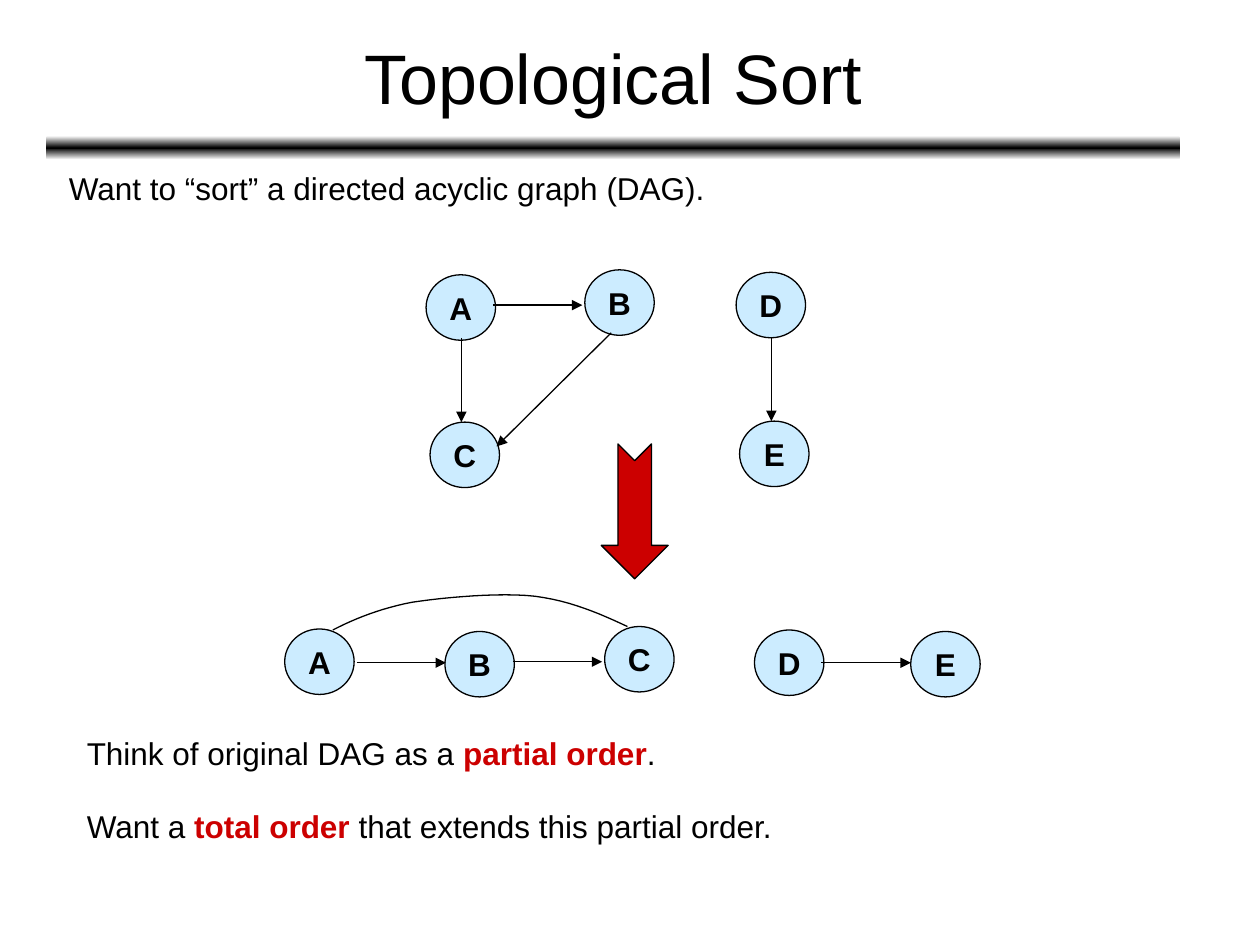
from copy import deepcopy
from dataclasses import dataclass

from lxml import etree
from pptx import Presentation
from pptx.dml.color import RGBColor
from pptx.enum.shapes import MSO_CONNECTOR, MSO_SHAPE
from pptx.enum.text import MSO_ANCHOR, PP_ALIGN
from pptx.oxml.ns import qn
from pptx.util import Cm, Pt

LEFT, CENTER = PP_ALIGN.LEFT, PP_ALIGN.CENTER
TOP, MIDDLE = MSO_ANCHOR.TOP, MSO_ANCHOR.MIDDLE
OVAL, BAR, ARROW = MSO_SHAPE.OVAL, MSO_SHAPE.ROUNDED_RECTANGLE, MSO_SHAPE.NOTCHED_RIGHT_ARROW
STRAIGHT = MSO_CONNECTOR.STRAIGHT


@dataclass(frozen=True)
class Theme:
    font: str = "Arial"
    ink: RGBColor = RGBColor(0, 0, 0)
    paper: RGBColor = RGBColor(255, 255, 255)
    node: RGBColor = RGBColor(0xCC, 0xEC, 0xFF)
    accent: RGBColor = RGBColor(0xCC, 0, 0)
    title: int = 40
    body: int = 18
    line: float = 0.75


THEME = Theme()
NODE_W, NODE_H = 1.4, 1.32


# Shared helpers: all lengths are in centimetres
def add_run(p, text, size=THEME.body, color=THEME.ink, bold=False):
    r = p.add_run()
    r.text = text
    r.font.name, r.font.size, r.font.bold = THEME.font, Pt(size), bold
    r.font.color.rgb = color


def add_text_box(slide, box, anchor=TOP):
    tf = slide.shapes.add_textbox(*map(Cm, box)).text_frame
    tf.word_wrap = True
    tf.vertical_anchor = anchor
    return tf


def add_outlined(slide, kind, box, fill):
    s = slide.shapes.add_shape(kind, *map(Cm, box))
    s.shadow.inherit = False
    s.fill.solid()
    s.fill.fore_color.rgb = fill
    s.line.color.rgb = THEME.ink
    s.line.width = Pt(THEME.line)
    return s


def add_node(slide, label, x, y):
    s = add_outlined(slide, OVAL, (x, y, NODE_W, NODE_H), THEME.node)
    tf = s.text_frame
    tf.word_wrap = False
    tf.vertical_anchor = MIDDLE
    p = tf.paragraphs[0]
    p.alignment = CENTER
    add_run(p, label, bold=True)


def add_edge(slide, x1, y1, x2, y2):
    c = slide.shapes.add_connector(STRAIGHT, Cm(x1), Cm(y1), Cm(x2), Cm(y2))
    c.line.color.rgb = THEME.ink
    c.line.width = Pt(THEME.line)
    etree.SubElement(c.line._get_or_add_ln(), qn("a:tailEnd"), type="triangle")
    etree.SubElement(c.element.spPr, qn("a:effectLst"))


def bezier(p0, p1, p2, p3, steps=12):
    for i in range(1, steps + 1):
        t = i / steps
        u = 1 - t
        yield tuple(u**3 * a + 3 * u * u * t * b + 3 * u * t * t * c + t**3 * d
                    for a, b, c, d in zip(p0, p1, p2, p3))


# Title with the gradient bar under it
def add_header(slide, box, title):
    x, y, w, h = box
    bar = slide.shapes.add_shape(BAR, Cm(x), Cm(y + 2.46), Cm(w), Cm(0.48))
    bar.shadow.inherit = False
    bar.line.fill.background()
    bar.fill.gradient()
    bar.fill.gradient_angle = 90
    gs_list = bar.element.spPr.find(".//" + qn("a:gsLst"))
    gs_list.insert(1, deepcopy(gs_list[0]))
    colors = (THEME.paper, THEME.ink, THEME.paper)
    for i, (stop, color) in enumerate(zip(bar.fill.gradient_stops, colors)):
        stop.position = i / 2
        stop.color.rgb = color

    tf = add_text_box(slide, (x, y, w, h), MIDDLE)
    p = tf.paragraphs[0]
    p.alignment = CENTER
    add_run(p, title, THEME.title)


# Paragraphs given as lists of (text, emphasised) runs
def add_statements(slide, box, paragraphs):
    tf = add_text_box(slide, box)
    for i, runs in enumerate(paragraphs):
        p = tf.add_paragraph() if i else tf.paragraphs[0]
        p.alignment = LEFT
        p.space_before = Pt(20 if i else 0)
        for text, strong in runs:
            add_run(p, text, color=THEME.accent if strong else THEME.ink, bold=strong)


# Nodes and edges, placed from the corner of the graph
def add_graph(slide, corner, nodes, edges):
    x, y = corner
    for label, (dx, dy) in nodes.items():
        add_node(slide, label, x + dx, y + dy)
    for x1, y1, x2, y2 in edges:
        add_edge(slide, x + x1, y + y1, x + x2, y + y2)


# Curved edge through joined Bezier pieces
def add_arc(slide, corner, points):
    x, y = corner
    path = [points[0]]
    for i in range(0, len(points) - 1, 3):
        path += bezier(*points[i:i + 4])
    path = [(Cm(x + dx), Cm(y + dy)) for dx, dy in path]
    fb = slide.shapes.build_freeform(*path[0])
    fb.add_line_segments(path[1:], close=False)
    s = fb.convert_to_shape()
    s.shadow.inherit = False
    s.fill.background()
    s.line.color.rgb = THEME.ink
    s.line.width = Pt(THEME.line)


def add_down_arrow(slide, box):
    x, y, w, h = box
    turned = (x + (w - h) / 2, y + (h - w) / 2, h, w)
    add_outlined(slide, ARROW, turned, THEME.accent).rotation = 90


def main():
    prs = Presentation()
    prs.slide_width, prs.slide_height = Cm(25.4), Cm(19.05)
    slide = prs.slides.add_slide(prs.slide_layouts[6])

    add_header(slide, (0.92, 0.28, 22.88, 2.51), "Topological Sort")
    add_statements(slide, (1.14, 3.28, 16.54, 1.27),
                   [[("Want to “sort” a directed acyclic graph (DAG).", False)]])

    # Partial order
    add_graph(slide, (8.59, 5.44),
              {"A": (0, 0.1), "B": (3.2, 0), "C": (0.08, 3.07),
               "D": (6.25, 0.05), "E": (6.32, 3.05)},
              [(1.35, 0.71, 3.15, 0.71), (0.71, 1.37, 0.71, 3.07),
               (3.73, 1.27, 1.42, 3.56), (6.96, 1.35, 6.96, 3.05)])
    add_down_arrow(slide, (12.12, 8.95, 1.35, 2.72))

    # Total order
    corner = (5.74, 11.94)
    add_graph(slide, corner,
              {"A": (0, 0.74), "B": (3.23, 0.79), "C": (6.45, 0.69),
               "D": (9.47, 0.76), "E": (12.62, 0.79)},
              [(1.45, 1.42, 3.25, 1.42), (4.6, 1.4, 6.4, 1.4),
               (10.82, 1.42, 12.62, 1.42)])
    add_arc(slide, corner,
            [(0.97, 0.76), (1.42, 0.53), (1.91, 0.33), (2.57, 0.2),
             (3.25, 0.1), (4.34, 0), (5.05, 0.08),
             (5.79, 0.18), (6.35, 0.43), (6.91, 0.69)])

    add_statements(slide, (1.5, 14.68, 17.32, 2.97), [
        [("Think of original DAG as a ", False), ("partial order", True), (".", False)],
        [("Want a ", False), ("total order", True),
         (" that extends this partial order.", False)],
    ])
    prs.save("out.pptx")


if __name__ == "__main__":
    main()
